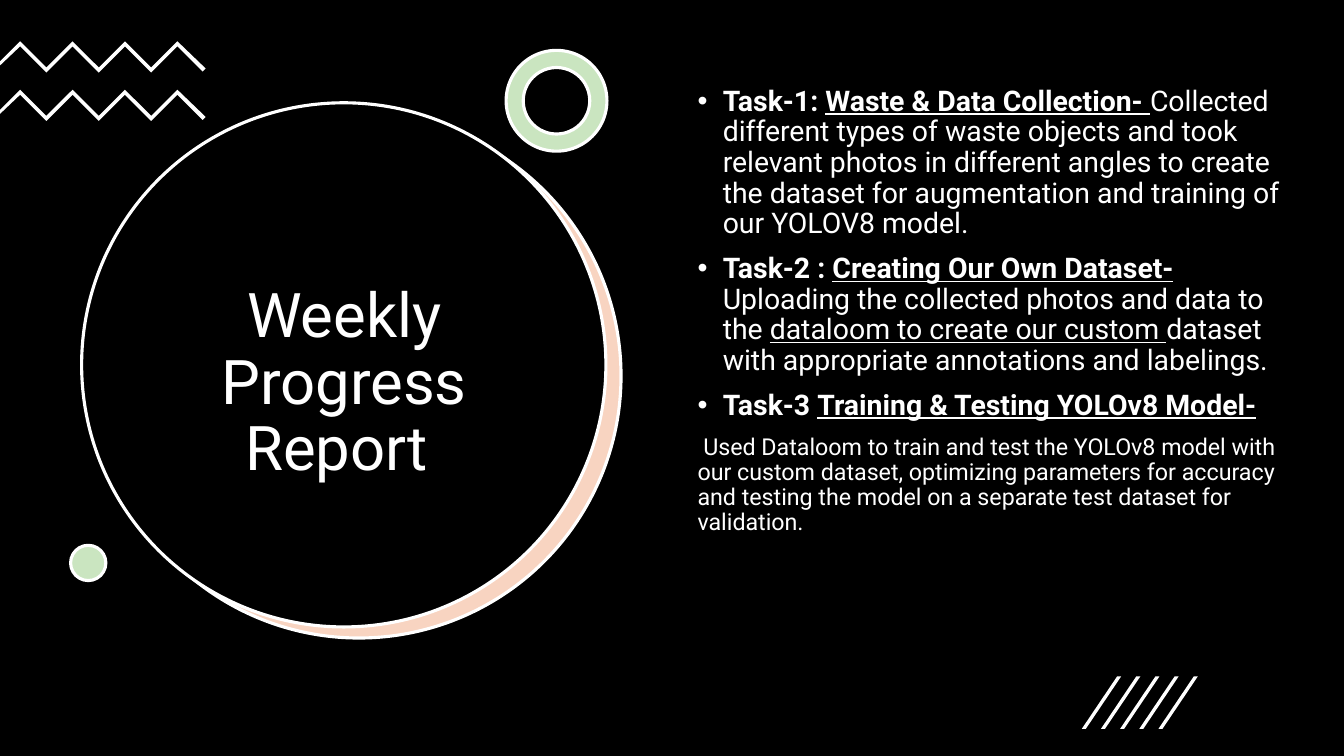
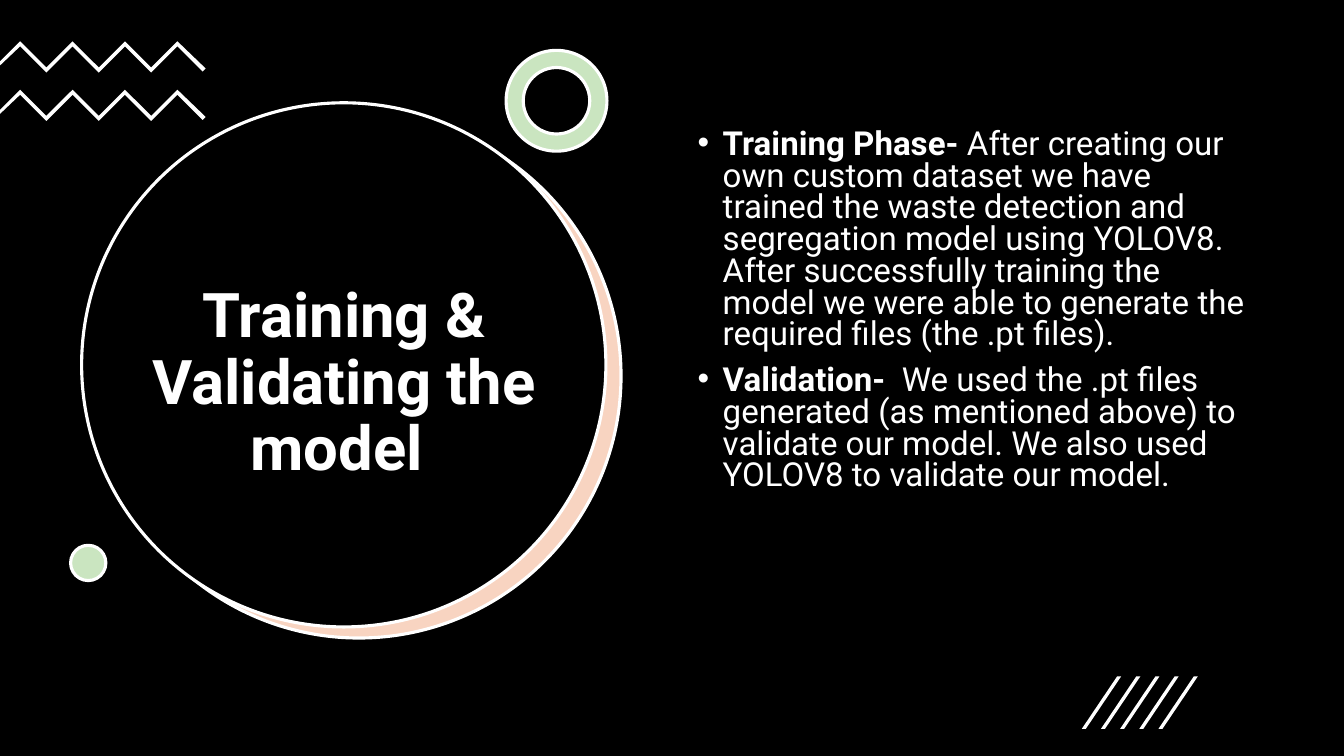
from lxml import etree
from pptx import Presentation
from pptx.dml.color import RGBColor
from pptx.enum.shapes import MSO_SHAPE
from pptx.enum.text import MSO_ANCHOR, PP_ALIGN
from pptx.oxml.ns import qn
from pptx.util import Inches, Pt

OVAL, DONUT = MSO_SHAPE.OVAL, MSO_SHAPE.DONUT
COLOURS = {"black": "000000", "white": "FFFFFF", "peach": "F8D4C1", "green": "CAE5C0"}
FONT = "Roboto"
TITLE_SIZE = 44
BLANK_LAYOUT = 6

# A paragraph is (bulleted, size, runs); a run is (text, style), where the
# style letters are b for bold and u for underlined.
SLIDES = [
    {
        "title": "Weekly Progress Report ",
        "title_bold": False,
        "body_at": (6.82, 0.81, 6.15, 5.18),
        "line_spacing": 0.9,
        "body": [
            (True, 20.3, [
                ("Task-1: ", "b"),
                ("Waste & Data Collection- ", "bu"),
                ("Collected different types of waste objects and took relevant photos "
                 "in different angles to create the dataset for augmentation and "
                 "training of our YOLOV8 model.", ""),
            ]),
            (True, 20.3, [
                ("Task-2 : ", "b"),
                ("Creating Our Own Dataset- ", "bu"),
                ("Uploading the collected photos and data to the ", ""),
                ("dataloom to create our custom ", "u"),
                ("dataset with appropriate annotations and labelings.", ""),
            ]),
            (True, 20.3, [
                ("Task-3 ", "b"),
                ("Training & Testing YOLOv8 Model-", "bu"),
            ]),
            (False, 16.6, [
                (" Used Dataloom to train and test the YOLOv8 model with our custom "
                 "dataset, optimizing parameters for accuracy and testing the model "
                 "on a separate test dataset for validation.", ""),
            ]),
        ],
    },
    {
        "title": "Training & Validating the model ",
        "title_bold": True,
        "body_at": (6.82, 1.24, 5.7, 4.76),
        "line_spacing": 0.8,
        "body": [
            (True, 23.6, [
                ("Training Phase- ", "b"),
                ("After creating our own custom dataset we have trained the waste "
                 "detection and segregation model using YOLOV8. After successfully "
                 "training the model we were able to generate the required files "
                 "(the .pt files).", ""),
            ]),
            (True, 23.6, [
                ("Validation- ", "b"),
                (" We used the .pt files generated (as mentioned above) to validate "
                 "our model. We also used YOLOV8 to validate our model.", ""),
            ]),
        ],
    },
]

TITLE_AT = (1.21, 2.05, 4.41, 3.52)
# Preset, left, top, diameter, fill
BIG_CIRCLES = [(OVAL, 0.96, 1.13, 5.2, "peach"), (OVAL, 0.81, 1.02, 5.2, "black")]
SMALL_CIRCLES = [(DONUT, 5.02, 0.5, 1, "green"), (OVAL, 0.7, 5.41, 0.35, "green")]
RING_WIDTH = 0.17

ZIGZAG_TOPS = (0.41, 0.89)
ZIGZAG_START, ZIGZAG_STEP, ZIGZAG_TURNS, ZIGZAG_WEIGHT = 0.2, 0.26, 7, 0.05

SLASH_COUNT, SLASH_LEFT, SLASH_STEP = 5, 10.73, 0.19
SLASH_TOP, SLASH_BOTTOM, SLASH_LEAN, SLASH_WEIGHT = 6.71, 7.23, 0.35, 0.04


def colour(name):
    return RGBColor.from_string(COLOURS[name])


def add_circle(page, preset, left, top, diameter, fill):
    circle = page.shapes.add_shape(
        preset, Inches(left), Inches(top), Inches(diameter), Inches(diameter))
    circle.shadow.inherit = False
    circle.fill.solid()
    circle.fill.fore_color.rgb = colour(fill)
    circle.line.color.rgb = colour("white")
    circle.line.width = Pt(2.25)
    if preset == DONUT:
        circle.adjustments[0] = RING_WIDTH / diameter


def add_white_outline(page, points):
    """Fill the closed polygon through the points, given in inches."""
    corners = [(Inches(x), Inches(y)) for x, y in points]
    builder = page.shapes.build_freeform(*corners[0])
    builder.add_line_segments(corners[1:], close=True)
    shape = builder.convert_to_shape()
    shape.shadow.inherit = False
    shape.fill.solid()
    shape.fill.fore_color.rgb = colour("white")
    shape.line.fill.background()


def zigzag_points(top):
    """Upper edge left to right, then the lower edge back to the slide's side."""
    turns = [(ZIGZAG_START + i * ZIGZAG_STEP, top + i % 2 * ZIGZAG_STEP)
             for i in range(ZIGZAG_TURNS)]
    lower = [(x, y + ZIGZAG_WEIGHT) for x, y in reversed(turns)]
    return (turns + [(2.04, top + 0.27), (2.01, top + 0.3)] + lower
            + [(0, top + 0.24), (0, top + 0.2)])


def slash_points(left):
    return [(left + SLASH_WEIGHT, SLASH_BOTTOM), (left, SLASH_BOTTOM),
            (left + SLASH_LEAN, SLASH_TOP),
            (left + SLASH_LEAN + SLASH_WEIGHT, SLASH_TOP)]


def add_text_box(page, place):
    box = page.shapes.add_textbox(*(Inches(length) for length in place))
    box.text_frame.word_wrap = True
    return box.text_frame


def style_paragraph(para, size, line_spacing):
    para.line_spacing = line_spacing
    para.font.name = FONT
    para.font.size = Pt(size)
    para.font.color.rgb = colour("white")


def add_bullet(para):
    properties = para._p.get_or_add_pPr()
    properties.set("marL", str(Inches(0.25)))
    properties.set("indent", str(Inches(-0.25)))
    bullet_colour = etree.SubElement(properties, qn("a:buClr"))
    etree.SubElement(bullet_colour, qn("a:srgbClr"), val=COLOURS["white"])
    etree.SubElement(properties, qn("a:buFont"), typeface="Arial")
    etree.SubElement(properties, qn("a:buChar"), char="•")


def add_title(page, text, bold):
    frame = add_text_box(page, TITLE_AT)
    frame.vertical_anchor = MSO_ANCHOR.MIDDLE
    para = frame.paragraphs[0]
    para.text = text
    para.alignment = PP_ALIGN.CENTER
    style_paragraph(para, TITLE_SIZE, 0.9)
    para.font.bold = bold


def add_body(page, place, paragraphs, line_spacing):
    frame = add_text_box(page, place)
    for index, (bulleted, size, runs) in enumerate(paragraphs):
        para = frame.add_paragraph() if index else frame.paragraphs[0]
        if bulleted:
            add_bullet(para)
        style_paragraph(para, size, line_spacing)
        para.space_before = Pt(10)
        for text, style in runs:
            span = para.add_run()
            span.text = text
            span.font.bold = "b" in style
            span.font.underline = "u" in style


def add_decoration(page):
    page.background.fill.solid()
    page.background.fill.fore_color.rgb = colour("black")
    for circle in BIG_CIRCLES + SMALL_CIRCLES:
        add_circle(page, *circle)
    for top in ZIGZAG_TOPS:
        add_white_outline(page, zigzag_points(top))
    for i in range(SLASH_COUNT):
        add_white_outline(page, slash_points(SLASH_LEFT + i * SLASH_STEP))


def main():
    deck = Presentation()
    deck.slide_width, deck.slide_height = Inches(13.33), Inches(7.5)
    for content in SLIDES:
        page = deck.slides.add_slide(deck.slide_layouts[BLANK_LAYOUT])
        add_decoration(page)
        add_title(page, content["title"], content["title_bold"])
        add_body(page, content["body_at"], content["body"], content["line_spacing"])
    deck.save("out.pptx")


if __name__ == "__main__":
    main()
